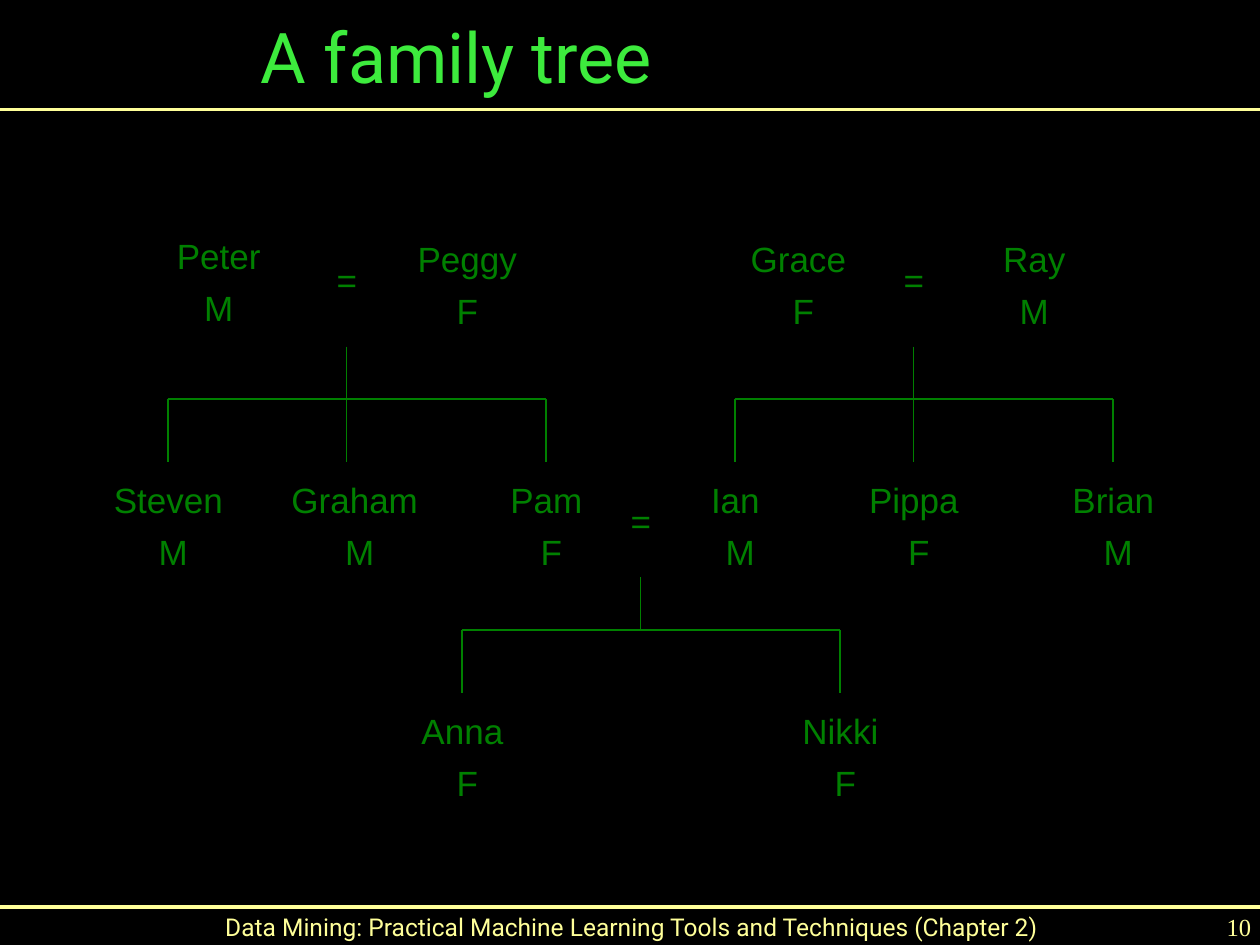
from lxml import etree
from pptx import Presentation
from pptx.dml.color import RGBColor
from pptx.enum.shapes import MSO_CONNECTOR
from pptx.enum.text import MSO_ANCHOR, MSO_AUTO_SIZE, PP_ALIGN
from pptx.oxml.ns import qn
from pptx.util import Pt

LEFT, MID, RIGHT = PP_ALIGN.LEFT, PP_ALIGN.CENTER, PP_ALIGN.RIGHT
GREEN, CREAM = "008000", "FFFF99"
rgb = RGBColor.from_string


def write(box, lines, font, size, color, align, gap=0):
    frame = box.text_frame
    frame.word_wrap = True
    frame.auto_size = MSO_AUTO_SIZE.NONE
    frame.text = "\n".join(lines)
    for i, para in enumerate(frame.paragraphs):
        para.alignment = align
        para.space_before = Pt(gap if i else 0)
        para.font.name = font
        para.font.size = Pt(size)
        para.font.color.rgb = rgb(color)
    return frame


def rule(x1, y1, x2, y2, color, width):
    line = slide.shapes.add_connector(
        MSO_CONNECTOR.STRAIGHT, Pt(x1), Pt(y1), Pt(x2), Pt(y2))
    line.line.color.rgb = rgb(color)
    line.line.width = Pt(width)
    etree.SubElement(line._element.spPr, qn("a:effectLst"))


deck = Presentation()
deck.slide_width, deck.slide_height = Pt(720), Pt(540)
slide = deck.slides.add_slide(deck.slide_layouts[5])
slide.background.fill.solid()
slide.background.fill.fore_color.rgb = rgb("000000")

# Rules under the title and above the footer
for y in (62.64, 518.4):
    rule(0, y, 722.88, y, CREAM, 0)

# Title
title = slide.shapes.title
title.left, title.top, title.width, title.height = Pt(141.84), Pt(-6.48), Pt(594), Pt(77)
frame = write(title, ["A family tree"], "Roboto", 40, "3DEB3D", LEFT)
frame.vertical_anchor = MSO_ANCHOR.MIDDLE

# Branches: trunk x, trunk top, trunk end, bar y, bar left
for x, top, end, bar, left in (
    (198, 198, 264, 228, 96),
    (522, 198, 264, 228, 420),
    (366, 330, 360, 360, 264),
):
    right = left + 216
    rule(x, top, x, end, GREEN, 0.75)
    rule(left, bar, right, bar, GREEN, 0.75)
    for child in (left, right):
        rule(child, bar, child, bar + 36, GREEN, 0.75)

# People: name, sex, centre x, top
people = (
    ("Peter", "M", 125, 130.3), ("Peggy", "F", 267, 132),
    ("Grace ", "F", 459, 132), ("Ray", "M", 591, 132),
    ("Steven ", "M", 99, 270), ("Graham ", "M", 205.5, 270),
    ("Pam ", "F", 315, 270), ("Ian ", "M", 423, 270),
    ("Pippa ", "F", 525, 270), ("Brian ", "M", 639, 270),
    ("Anna ", "F", 267, 402), ("Nikki ", "F", 483, 402),
)
for name, sex, x, top in people:
    wide = 99 if name == "Graham " else 90
    box = slide.shapes.add_textbox(Pt(x - wide / 2), Pt(top), Pt(wide), Pt(60))
    write(box, [name, sex], "Arial", 20, GREEN, MID, 5.75)

# Marriage signs
for x, top in ((198, 144), (522, 144), (366, 282)):
    box = slide.shapes.add_textbox(Pt(x - 24), Pt(top), Pt(48), Pt(30))
    frame = write(box, ["="], "Arial", 20, GREEN, MID)
    frame.paragraphs[0].font.italic = True

# Footer and page number
for text, font, left, wide, align in (
    ("Data Mining: Practical Machine Learning Tools and Techniques (Chapter 2)",
     "Roboto", 113, 496, MID),
    ("10", "Times New Roman", 626.4, 88.6, RIGHT),
):
    box = slide.shapes.add_textbox(Pt(left), Pt(521.28), Pt(wide), Pt(18.72))
    frame = write(box, [text], font, 14, CREAM, align)
    frame.margin_left = frame.margin_right = 0
    frame.margin_top = frame.margin_bottom = 0

deck.save("out.pptx")
